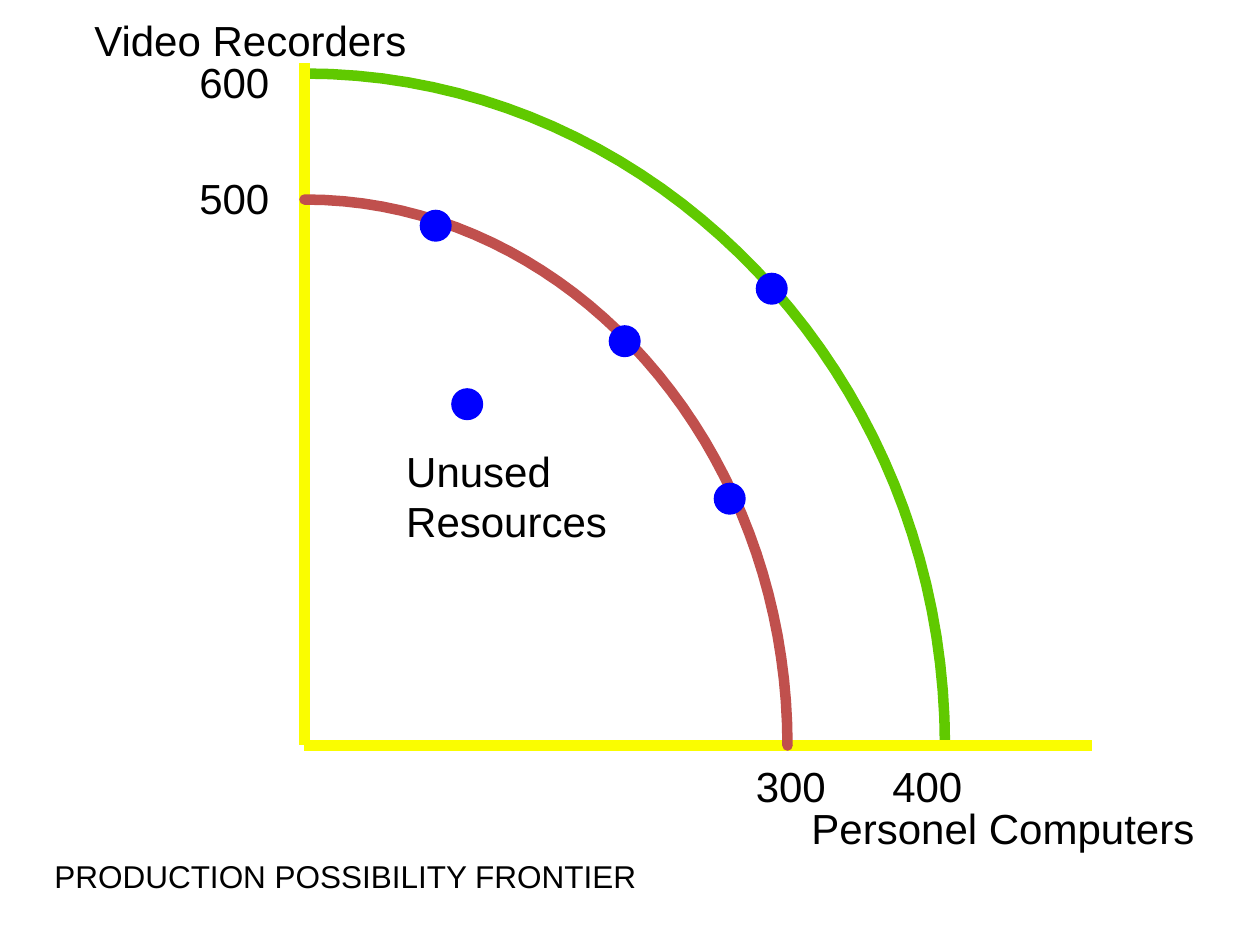
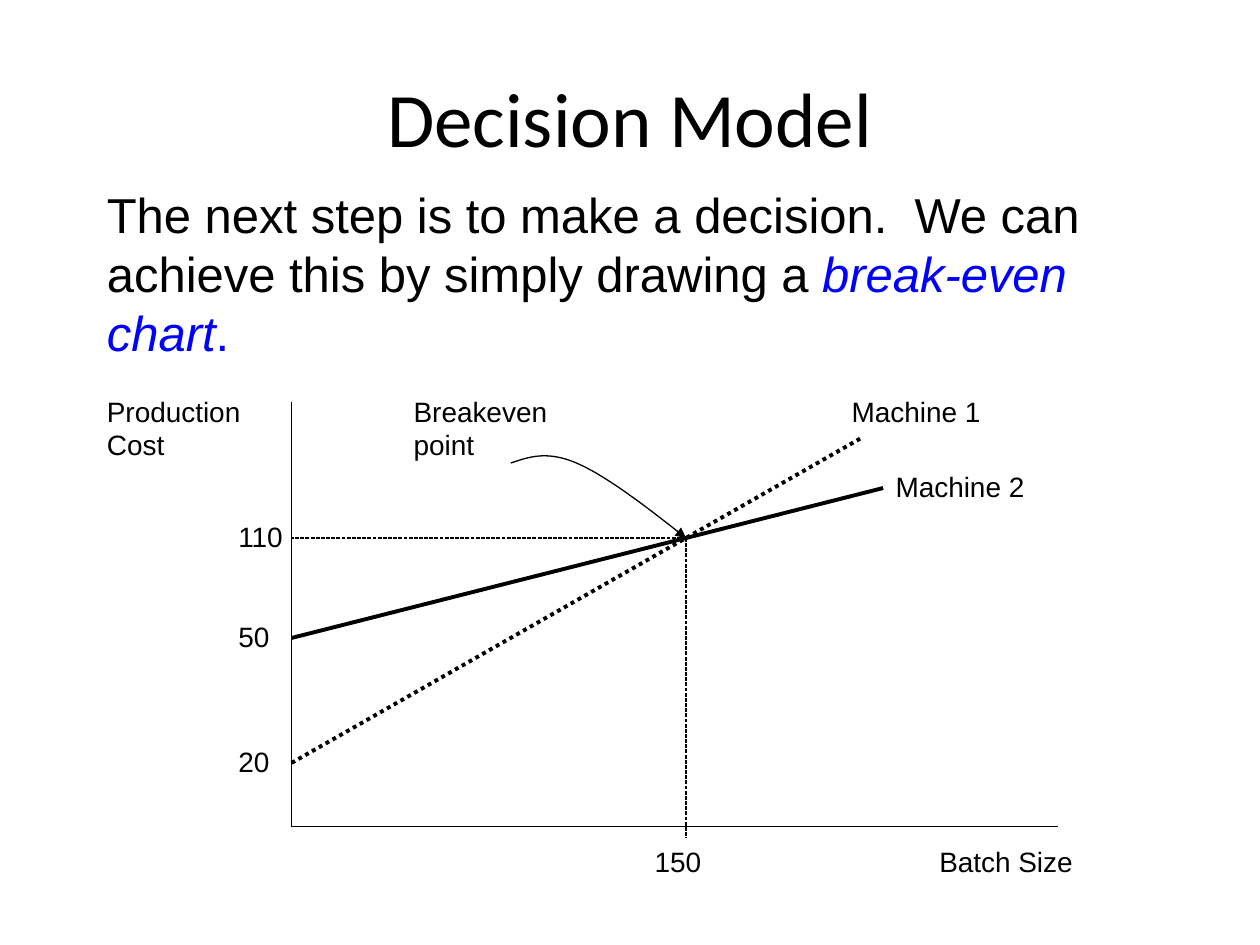
from dataclasses import dataclass
from lxml.etree import SubElement
from pptx import Presentation
from pptx.dml.color import RGBColor
from pptx.enum.dml import MSO_LINE
from pptx.enum.shapes import MSO_CONNECTOR, MSO_SHAPE
from pptx.enum.text import MSO_ANCHOR, PP_ALIGN
from pptx.oxml.ns import qn
from pptx.util import Inches, Pt


@dataclass(frozen=True)
class Theme:
    text: str = "000000"
    accent: str = "0000FF"
    axis: str = "FAFD00"
    outer_frontier: str = "60C900"
    inner_frontier: str = "C0504D"
    body_font: str = "Arial"
    title_font: str = "Calibri"
    title_size: int = 44
    statement_size: int = 28
    label_size: int = 24
    caption_size: int = 18
    chart_label_size: int = 16
    frontier_width: float = 6
    machine_width: float = 2.25
    thin_width: float = 0.75


@dataclass(frozen=True)
class Grid:
    left: float
    top: float
    right: float
    bottom: float
    columns: int
    rows: int

    def point(self, column, row):
        return (
            Inches(self.left + column * (self.right - self.left) / self.columns),
            Inches(self.top + row * (self.bottom - self.top) / self.rows),
        )

    def box(self, column, row, width, height):
        left, top = self.point(column, row)
        right, bottom = self.point(column + width, row + height)
        return left, top, right - left, bottom - top


THEME = Theme()
PAGE_GRID = Grid(0, 0, 10, 7.5, 120, 90)
CHART_GRID = Grid(0.75, 3.08, 8.4, 6.65, 22, 18)


def apply_values(target, values):
    for name, value in values.items():
        setattr(target, name, value)


def format_font(font, size, colour=THEME.text, name=THEME.body_font, italic=False):
    apply_values(font, {"size": Pt(size), "name": name, "italic": italic})
    font.color.rgb = RGBColor.from_string(colour)


def format_line(line, colour, width, dash=None):
    line.color.rgb = RGBColor.from_string(colour)
    apply_values(line, {"width": Pt(width), "dash_style": dash})


def add_text(slide, grid, box, lines, size):
    shape = slide.shapes.add_textbox(*grid.box(*box))
    frame = shape.text_frame
    frame.word_wrap = True
    for index, runs in enumerate(lines):
        paragraph = frame.paragraphs[0] if index == 0 else frame.add_paragraph()
        for text, values in runs:
            run = paragraph.add_run()
            run.text = text
            format_font(run.font, size, **values)


def add_label(slide, grid, box, text, size):
    lines = [[(line, {})] for line in text.split("\n")]
    add_text(slide, grid, box, lines, size)


def add_line(slide, grid, start, end, colour, width, dash=None):
    connector = slide.shapes.add_connector(
        MSO_CONNECTOR.STRAIGHT, *grid.point(*start), *grid.point(*end)
    )
    format_line(connector.line, colour, width, dash)
    SubElement(connector._element.spPr, qn("a:effectLst"))


def bezier_points(controls, steps=40):
    start, first, second, end = controls
    for step in range(steps + 1):
        t = step / steps
        weights = ((1 - t) ** 3, 3 * t * (1 - t) ** 2, 3 * t**2 * (1 - t), t**3)
        yield tuple(
            sum(weight * value for weight, value in zip(weights, values))
            for values in zip(start, first, second, end)
        )


def add_curve(slide, grid, segments, colour, width, cap="flat", arrow=False):
    points = [
        grid.point(*point) for controls in segments for point in bezier_points(controls)
    ]
    builder = slide.shapes.build_freeform(*points[0])
    builder.add_line_segments(points[1:], close=False)
    curve = builder.convert_to_shape()
    curve.shadow.inherit = False
    curve.fill.background()
    format_line(curve.line, colour, width)
    outline = curve._element.spPr.find(qn("a:ln"))
    outline.set("cap", cap)
    if arrow:
        SubElement(outline, qn("a:tailEnd"), type="triangle")


def add_frontier(slide, origin, top, right, colour, cap="flat"):
    left, bottom = origin
    bend = 0.55
    controls = (
        (left, top),
        (left + bend * (right - left), top),
        (right, bottom - bend * (bottom - top)),
        (right, bottom),
    )
    add_curve(slide, PAGE_GRID, [controls], colour, THEME.frontier_width, cap)


def add_output_point(slide, column, row):
    diameter = 2.88
    box = (column - diameter / 2, row - diameter / 2, diameter, diameter)
    dot = slide.shapes.add_shape(MSO_SHAPE.OVAL, *PAGE_GRID.box(*box))
    dot.shadow.inherit = False
    dot.fill.solid()
    dot.fill.fore_color.rgb = RGBColor.from_string(THEME.accent)
    format_line(dot.line, THEME.accent, 1)


def add_title(slide, text):
    title = slide.shapes.title
    left, top, width, height = PAGE_GRID.box(6, 3.6, 108, 15)
    apply_values(title, {"left": left, "top": top, "width": width, "height": height})
    title.text_frame.text = text
    title.text_frame.vertical_anchor = MSO_ANCHOR.MIDDLE
    paragraph = title.text_frame.paragraphs[0]
    paragraph.alignment = PP_ALIGN.CENTER
    format_font(paragraph.runs[0].font, THEME.title_size, name=THEME.title_font)


def build_frontier_slide(presentation):
    slide = presentation.slides.add_slide(presentation.slide_layouts[6])
    origin = (29, 71)
    add_frontier(slide, origin, 7, 90, THEME.outer_frontier)
    for start, end in (((29, 6), origin), (origin, (104, 71))):
        add_line(slide, PAGE_GRID, start, end, THEME.axis, THEME.frontier_width)
    add_frontier(slide, origin, 19, 75, THEME.inner_frontier, "rnd")
    for column, row in (
        (44.5, 38.5), (73.5, 27.5), (41.5, 21.5), (59.5, 32.5), (69.5, 47.5)
    ):
        add_output_point(slide, column, row)
    for text, box in (
        ("Video Recorders", (7.8, 0.8, 33, 6)),
        ("Personel Computers", (76.1, 75.84, 40, 6)),
        ("600", (17.8, 4.8, 10, 6)),
        ("500", (17.8, 15.84, 10, 6)),
        ("300", (70.8, 71.8, 10, 6)),
        ("400", (83.8, 71.8, 10, 6)),
        ("Unused\nResources", (37.5, 41.8, 22.5, 10.8)),
    ):
        add_label(slide, PAGE_GRID, box, text, THEME.label_size)
    caption = "PRODUCTION POSSIBILITY FRONTIER"
    add_label(slide, PAGE_GRID, (4, 81, 111, 4.75), caption, THEME.caption_size)


def build_decision_slide(presentation):
    slide = presentation.slides.add_slide(presentation.slide_layouts[5])
    add_title(slide, "Decision Model")
    origin = (4.5, 17.55)
    breakeven = (13.5, 6)
    for start, end, width, dash in (
        ((4.5, 0.55), origin, THEME.thin_width, None),
        (origin, (22, 17.55), THEME.thin_width, None),
        ((4.5, 10), (18, 4), THEME.machine_width, None),
        ((4.5, 15), (17.5, 2), THEME.machine_width, MSO_LINE.ROUND_DOT),
        (breakeven, (13.5, 18), THEME.thin_width, MSO_LINE.SQUARE_DOT),
        (breakeven, (4.5, 6), THEME.thin_width, MSO_LINE.SQUARE_DOT),
    ):
        add_line(slide, CHART_GRID, start, end, THEME.text, width, dash)
    for text, box in (
        ("150", (12.5, 18, 2, 2)),
        ("110", (3, 5, 2, 2)),
        ("20", (3, 14, 2, 2)),
        ("50", (3, 9, 2, 2)),
        ("Breakeven point", (7, 0, 4, 4)),
        ("Machine 1", (17, 0, 5, 3)),
        ("Machine 2", (18, 3, 4, 3)),
        ("Production Cost", (0, 0, 4, 4)),
        ("Batch Size", (19, 18, 4, 3)),
    ):
        add_label(slide, CHART_GRID, box, text, THEME.chart_label_size)
    pointer = (
        ((9.5, 3), (9.92, 2.75), (10.33, 2.5), (11, 3)),
        ((11, 3), (11.67, 3.5), (12.6, 4.75), breakeven),
    )
    add_curve(slide, CHART_GRID, pointer, THEME.text, THEME.thin_width, arrow=True)
    statement = [
        ("The next step is to make a decision.  We can achieve this by simply drawing a ", {}),
        ("break-even chart", {"colour": THEME.accent, "italic": True}),
        (".", {"colour": THEME.accent}),
    ]
    add_text(slide, PAGE_GRID, (9, 17, 103, 18), [statement], THEME.statement_size)


def main():
    presentation = Presentation()
    apply_values(presentation, {"slide_width": Inches(10), "slide_height": Inches(7.5)})
    build_frontier_slide(presentation)
    build_decision_slide(presentation)
    presentation.save("out.pptx")


if __name__ == "__main__":
    main()
